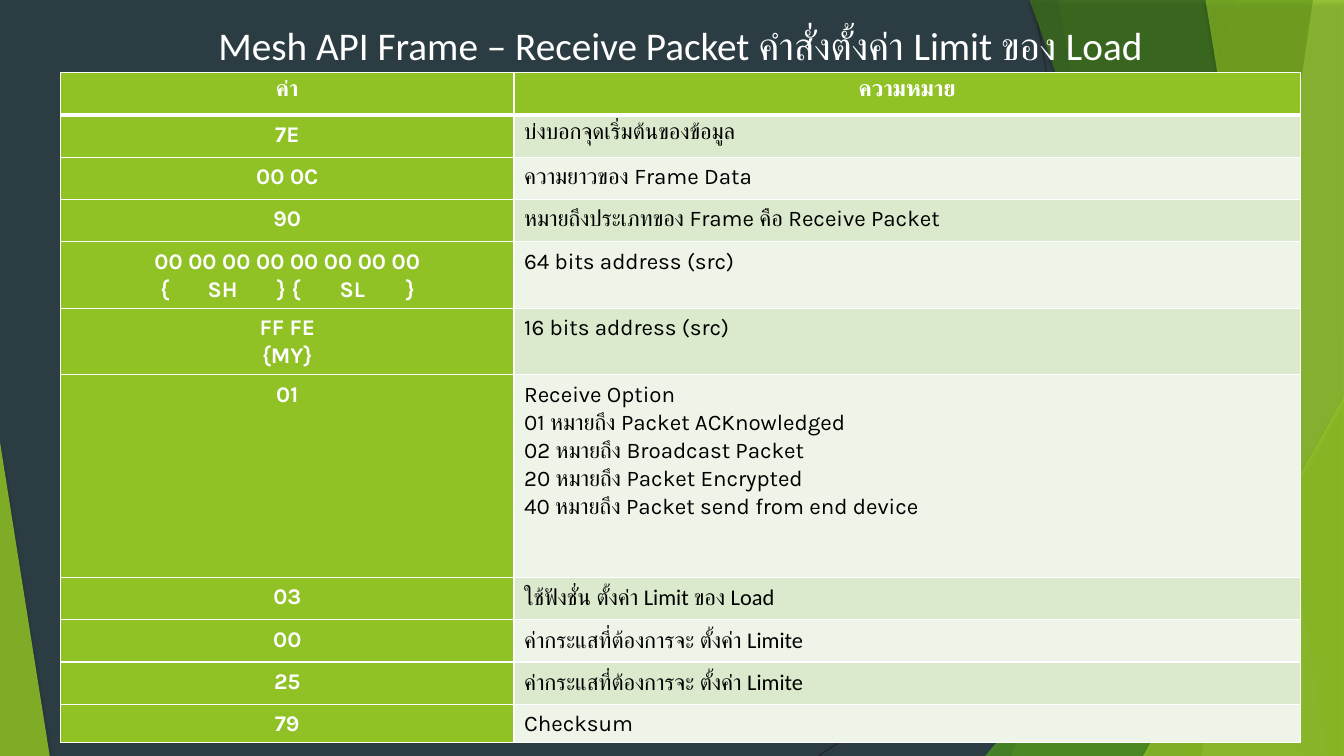
from dataclasses import dataclass
from itertools import groupby

from lxml.etree import SubElement
from pptx import Presentation
from pptx.dml.color import RGBColor
from pptx.enum.shapes import MSO_CONNECTOR as Connector, MSO_SHAPE as Preset
from pptx.enum.text import MSO_ANCHOR as Anchor, MSO_AUTO_SIZE as AutoSize, PP_ALIGN as Align
from pptx.oxml.ns import qn
from pptx.util import Emu, Inches, Pt

WIDTH, HEIGHT = Inches(40 / 3), Inches(7.5)
GREEN, WHITE, BLACK = "90C226", "FFFFFF", "000000"
BANDS = ("DBE9CD", "EEF4E8")
THAI_FONT, CODE_FONT = "Calibri", "Karla"


@dataclass(frozen=True)
class Ray:
    """A line; ends in percent of the slide."""
    start: tuple[float, float]
    end: tuple[float, float]


@dataclass(frozen=True)
class Facet:
    """A full-height panel reaching from a slanted edge to the right side."""
    top_x: float
    bottom_x: float
    color: str
    opacity: int


@dataclass(frozen=True)
class Wedge:
    """A right triangle standing on the bottom edge."""
    left: float
    top: float
    width: float
    apex: float
    color: str
    opacity: int


@dataclass(frozen=True)
class FrameField:
    """One table row; height in percent of the slide."""
    value: str
    meaning: str
    height: float = 5.6
    value_font: str = CODE_FONT
    latin_font: str = CODE_FONT
    tab_stops: tuple[float, ...] = ()


RAYS = (Ray((76.9, 0), (86.9, 100)), Ray((100, 53.7), (60.9, 100)))
DECOR = (
    Facet(92.1, 75.3, GREEN, 30),
    Facet(78.75, 88.75, GREEN, 20),
    Wedge(73.3, 44.4, 26.7, 1, "54A021", 72),
    Facet(76.6, 96.8, "3F7819", 70),
    Facet(97.7, 89.4, "C0E474", 70),
    Facet(89.7, 98.85, GREEN, 65),
    Wedge(85.05, 52.4, 14.95, 1, GREEN, 80),
    Wedge(0, 58.5, 3.7, 0, GREEN, 85),
)
FIELDS = (
    FrameField("ค่า", "ความหมาย", value_font=THAI_FONT),
    FrameField("7E", "บ่งบอกจุดเริ่มต้นของข้อมูล"),
    FrameField("00 0C", "ความยาวของ Frame Data"),
    FrameField("90", "หมายถึงประเภทของ Frame คือ Receive Packet"),
    FrameField("00 00 00 00 00 00 00 00\n\t{\tSH\t} {\tSL\t}", "64 bits address (src)", 8.8,
               tab_stops=(0.89, 1.36, 2.05, 2.67, 3.33)),
    FrameField("FF FE\n{MY}", "16 bits address (src)", 8.8),
    FrameField("01", "Receive Option\n01 หมายถึง Packet ACKnowledged\n02 หมายถึง Broadcast Packet\n"
               "20 หมายถึง Packet Encrypted\n40 หมายถึง Packet send from end device", 26.8),
    FrameField("03", "ใช้ฟังชั่น ตั้งค่า Limit ของ Load", latin_font=THAI_FONT),
    FrameField("00", "ค่ากระแสที่ต้องการจะ ตั้งค่า Limite", latin_font=THAI_FONT),
    FrameField("25", "ค่ากระแสที่ต้องการจะ ตั้งค่า Limite", latin_font=THAI_FONT),
    FrameField("79", "Checksum", 4.4),
)


def across(percent: float) -> Emu:
    return Emu(round(WIDTH * percent / 100))


def down(percent: float) -> Emu:
    return Emu(round(HEIGHT * percent / 100))


def rgb(color: str) -> RGBColor:
    return RGBColor.from_string(color)


def is_thai(word: str) -> bool:
    return any("ก" <= letter <= "๛" for letter in word)


def add_run(paragraph, text: str, *, font: str, size: float, color: str, bold: bool = False) -> None:
    run = paragraph.add_run()
    run.text = text
    run.font.name, run.font.size, run.font.bold = font, Pt(size), bold
    run.font.color.rgb = rgb(color)


def style_decor(shape, color: str, opacity: int) -> None:
    """Translucent fill, no outline, soft shadow below."""
    shape.fill.solid()
    shape.fill.fore_color.rgb = rgb(color)
    shape.line.fill.background()
    properties = shape._element.spPr
    fill_color = properties.find(qn("a:solidFill"))[0]
    SubElement(fill_color, qn("a:alpha"), val=str(opacity * 1000))
    effects = SubElement(properties, qn("a:effectLst"))
    shadow = SubElement(effects, qn("a:outerShdw"), blurRad=str(Pt(3)), dist=str(Pt(2)),
                        dir="5400000", rotWithShape="0")
    shadow_color = SubElement(shadow, qn("a:srgbClr"), val=BLACK)
    SubElement(shadow_color, qn("a:alpha"), val="35000")


def add_ray(shapes, ray: Ray) -> None:
    line = shapes.add_connector(Connector.STRAIGHT, across(ray.start[0]), down(ray.start[1]),
                                across(ray.end[0]), down(ray.end[1]))
    line.line.color.rgb = rgb("262626")
    line.line.width = Pt(0.75)
    SubElement(line._element.spPr, qn("a:effectLst"))


def add_decor(shapes, item: Facet | Wedge) -> None:
    if isinstance(item, Facet):
        builder = shapes.build_freeform(across(item.top_x), 0)
        builder.add_line_segments([(WIDTH, 0), (WIDTH, HEIGHT), (across(item.bottom_x), HEIGHT)])
        shape = builder.convert_to_shape()
    else:
        shape = shapes.add_shape(Preset.ISOSCELES_TRIANGLE, across(item.left), down(item.top),
                                 across(item.width), down(100 - item.top))
        shape.adjustments[0] = item.apex
    style_decor(shape, item.color, item.opacity)


def set_borders(cell, bottom: float = 1, top: float = 1) -> None:
    properties = cell._tc.get_or_add_tcPr()
    for side, width in (("L", 1), ("R", 1), ("T", top), ("B", bottom)):
        border = SubElement(properties, qn(f"a:ln{side}"), w=str(Pt(width)))
        SubElement(SubElement(border, qn("a:solidFill")), qn("a:srgbClr"), val=WHITE)


def fill_cell(cell, text: str, *, fill: str, color: str, bold: bool, centered: bool,
              font: str, tab_stops: tuple[float, ...] = ()) -> None:
    cell.fill.solid()
    cell.fill.fore_color.rgb = rgb(fill)
    frame = cell.text_frame
    for index, line in enumerate(text.split("\n")):
        paragraph = frame.add_paragraph() if index else frame.paragraphs[0]
        paragraph.line_spacing = 1.07
        tabbed = "\t" in line
        paragraph.alignment = Align.CENTER if centered and not tabbed else Align.LEFT
        if tabbed:
            tabs = SubElement(paragraph._p.get_or_add_pPr(), qn("a:tabLst"))
            for stop in tab_stops:
                SubElement(tabs, qn("a:tab"), pos=str(Inches(stop)), algn="l")
        # Thai words and Latin words take different fonts
        words = [word + " " for word in line.split(" ")]
        words[-1] = words[-1][:-1]
        for thai, group in groupby(words, is_thai):
            add_run(paragraph, "".join(group), font=THAI_FONT if thai else font,
                    size=16, color=color, bold=bold)


def add_frame_table(shapes) -> None:
    columns = (33.75, 58.5)
    table = shapes.add_table(len(FIELDS), len(columns), across(4.5), down(9.6), across(sum(columns)),
                             down(sum(field.height for field in FIELDS))).table
    for column, width in zip(table.columns, columns):
        column.width = across(width)
    for index, field in enumerate(FIELDS):
        table.rows[index].height = down(field.height)
        header = index == 0
        value, meaning = table.cell(index, 0), table.cell(index, 1)
        for cell in (value, meaning):
            set_borders(cell, bottom=3 if header else 1, top=3 if index == 1 else 1)
        fill_cell(value, field.value, fill=GREEN, color=WHITE, bold=True, centered=True,
                  font=field.value_font, tab_stops=field.tab_stops)
        fill_cell(meaning, field.meaning, fill=GREEN if header else BANDS[(index - 1) % 2],
                  color=WHITE if header else BLACK, bold=header, centered=header,
                  font=field.latin_font)


def set_title(slide, text: str) -> None:
    title = slide.shapes.title
    title.left, title.top, title.width, title.height = across(10), down(1.73), across(81.25), down(8.1)
    frame = title.text_frame
    frame.word_wrap, frame.auto_size, frame.vertical_anchor = True, AutoSize.NONE, Anchor.TOP
    paragraph = frame.paragraphs[0]
    paragraph.alignment, paragraph.line_spacing = Align.CENTER, 1.07
    paragraph.space_before, paragraph.space_after = Pt(0), Pt(8)
    add_run(paragraph, text, font=THAI_FONT, size=28, color=WHITE)
    slide.shapes._spTree.append(title._element)  # bring to front


def main() -> None:
    presentation = Presentation()
    presentation.slide_width, presentation.slide_height = WIDTH, HEIGHT
    slide = presentation.slides.add_slide(presentation.slide_layouts[5])
    slide.background.fill.solid()
    slide.background.fill.fore_color.rgb = rgb("2C3C43")

    # Backdrop
    for ray in RAYS:
        add_ray(slide.shapes, ray)
    for item in DECOR:
        add_decor(slide.shapes, item)

    # Content
    add_frame_table(slide.shapes)
    set_title(slide, "Mesh API Frame – Receive Packet คำสั่งตั้งค่า Limit ของ Load")
    presentation.save("out.pptx")


if __name__ == "__main__":
    main()
